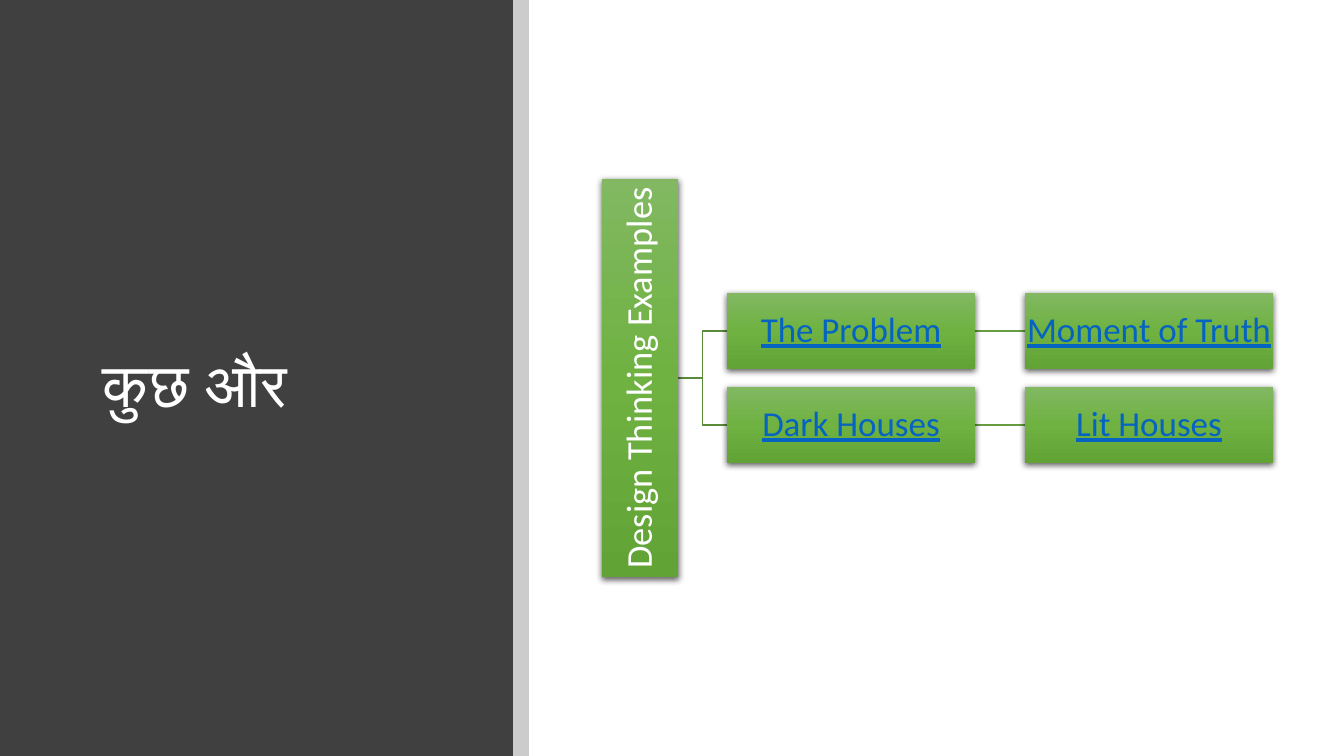
from pptx import Presentation, util as u
from pptx.dml.color import RGBColor
from pptx.enum import shapes, text
from pptx.oxml import parse_xml
from pptx.oxml.ns import nsdecls, qn

TITLE = "कुछ और"
ROOT = "Design Thinking Examples"
ROWS = [("The Problem", "Moment of Truth"), ("Dark Houses", "Lit Houses")]

THEME = dict(
    font="Calibri", panel="404040", strip="000000", white="FFFFFF",
    link="0563C1", branch="5A8B39", join="669D40", shade="000000",
    grad=[(0, "81B861"), (50, "6FB242"), (100, "62A336")],
    title=44, root=26, node=25)

PX = u.Inches(1) / 100.8
WIDE, HIGH = 1344, 756
PANEL, STRIP = 513, 16
BAR = (602, 179, 76, 398)
LEFT, TOP, BOXW, BOXH = 727, 293, 248, 76
STEPX, STEPY = 298, 94


def emu(*vals):
    return [round(v * PX) for v in vals]


def rgb(name):
    return RGBColor.from_string(THEME[name])


def write(shape, words, size, color, align=text.PP_ALIGN.CENTER,
          inset=2, line=False, wrap=True, turn=None):
    frame = shape.text_frame
    frame.word_wrap = wrap
    frame.vertical_anchor = text.MSO_ANCHOR.MIDDLE
    frame.margin_left = frame.margin_right = emu(inset)[0]
    frame.margin_top = frame.margin_bottom = emu(min(inset, 5))[0]
    if turn:
        frame._txBody.bodyPr.set("vert", turn)
    para = frame.paragraphs[0]
    para.alignment, para.line_spacing = align, 0.9
    run = para.add_run()
    run.text = words
    font = run.font
    font.name, font.size, font.underline = THEME["font"], u.Pt(THEME[size]), line
    font.color.rgb = rgb(color)


def block(x, y, w, h, color):
    shape = slide.shapes.add_shape(shapes.MSO_SHAPE.RECTANGLE, *emu(x, y, w, h))
    shape.shadow.inherit = False
    shape.fill.solid()
    shape.fill.fore_color.rgb = rgb(color)
    shape.line.fill.background()
    return shape


def card(x, y, w, h):
    shape = block(x, y, w, h, "white")
    props = shape._element.spPr
    stops = "".join(
        f'<a:gs pos="{pos * 1000}"><a:srgbClr val="{hue}"/></a:gs>'
        for pos, hue in THEME["grad"])
    grad = parse_xml(
        f'<a:gradFill {nsdecls("a")} rotWithShape="1"><a:gsLst>{stops}</a:gsLst>'
        '<a:lin ang="5400000" scaled="0"/></a:gradFill>')
    props.replace(props.find(qn("a:solidFill")), grad)
    props.find(qn("a:effectLst")).append(parse_xml(
        f'<a:outerShdw {nsdecls("a")} blurRad="{u.Pt(4.5)}" dist="{u.Pt(1.5)}" '
        'dir="5400000" algn="ctr" rotWithShape="0">'
        f'<a:srgbClr val="{THEME["shade"]}"><a:alpha val="63000"/></a:srgbClr>'
        '</a:outerShdw>'))
    return shape


def link(kind, x1, y1, x2, y2, color):
    wire = slide.shapes.add_connector(kind, *emu(x1, y1, x2, y2))
    wire.line.color.rgb = rgb(color)
    wire.line.width = u.Pt(1)
    wire._element.spPr.append(parse_xml(f'<a:effectLst {nsdecls("a")}/>'))


deck = Presentation()
deck.slide_width, deck.slide_height = emu(WIDE, HIGH)
slide = deck.slides.add_slide(deck.slide_layouts[6])

block(0, 0, PANEL, HIGH, "panel")
strip = block(PANEL, 0, STRIP, HIGH, "strip")
hue = strip._element.spPr.find(qn("a:solidFill"))[0]
hue.append(parse_xml(f'<a:alpha {nsdecls("a")} val="20000"/>'))

head = slide.shapes.add_textbox(*emu(93, 90, 368, 596))
write(head, TITLE, "title", "white", align=text.PP_ALIGN.LEFT, inset=10)

edge, mid = BAR[0] + BAR[2], BAR[1] + BAR[3] / 2
for r in range(len(ROWS)):
    y = TOP + r * STEPY + BOXH / 2
    link(shapes.MSO_CONNECTOR.ELBOW, edge, mid, LEFT, y, "branch")
    link(shapes.MSO_CONNECTOR.STRAIGHT, LEFT + BOXW, y, LEFT + STEPX, y, "join")

write(card(*BAR), ROOT, "root", "white", wrap=False, turn="vert270")
for r, row in enumerate(ROWS):
    for c, name in enumerate(row):
        node = card(LEFT + c * STEPX, TOP + r * STEPY, BOXW, BOXH)
        write(node, name, "node", "link", line=True, wrap=False)

deck.save("out.pptx")
